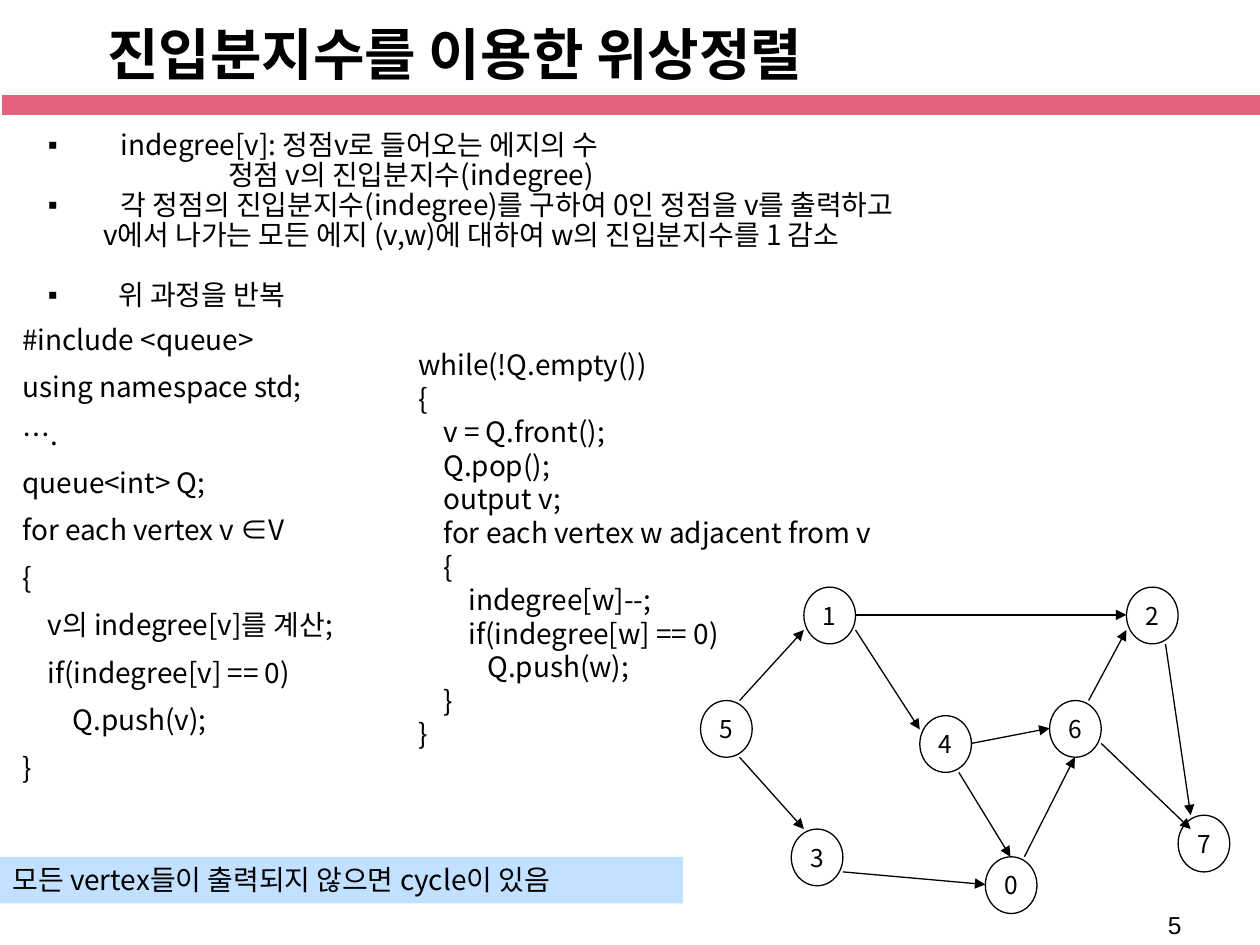
from pptx import Presentation, util as u
from pptx.dml.color import RGBColor
from pptx.enum import shapes, text
from pptx.oxml.ns import qn
from lxml import etree

PX = 9144  # 100 px to the inch
BLACK = RGBColor(0x00, 0x00, 0x00)
WHITE = RGBColor(0xFF, 0xFF, 0xFF)
ROSE = RGBColor(0xE4, 0x62, 0x7B)
SKY = RGBColor(0xC2, 0xE0, 0xFF)
SANS, KOREAN = "Arial", "Noto Sans CJK KR"
LEFT, CENTER, JUSTIFY = (text.PP_ALIGN.LEFT, text.PP_ALIGN.CENTER,
                         text.PP_ALIGN.JUSTIFY)
TOP, MIDDLE = text.MSO_ANCHOR.TOP, text.MSO_ANCHOR.MIDDLE

# Each line is (text, left margin, first-line indent, format, bullet)
BODY = [
    ("indegree[v]: 정점v로 들어오는 에지의 수", 58, -58, {}, "▪"),
    ("정점 v의 진입분지수(indegree)", 143, 0, {}, None),
    ("각 정점의 진입분지수(indegree)를 구하여 0인 정점을 v를 출력하고", 58, -58, {}, "▪"),
    ("v에서 나가는 모든 에지 (v,w)에 대하여 w의 진입분지수를 1 감소", 44, 0, {}, None),
    ("위 과정을 반복", 56, -56, {"space_before": u.Pt(17)}, "▪"),
]
# Code lines with their indent
INIT_CODE = [
    ("#include <queue>", 0), ("using namespace std;", 0), ("….", 0),
    ("queue<int> Q;", 0), ("for each vertex v ∈V", 0), ("{", 0),
    ("v의 indegree[v]를 계산;", 20), ("if(indegree[v] == 0)", 20),
    ("Q.push(v);", 40), ("}", 0),
]
LOOP_CODE = [
    ("while(!Q.empty())", 0), ("{", 0), ("v = Q.front();", 20),
    ("Q.pop();", 20), ("output v;", 20),
    ("for each vertex w adjacent from v", 20), ("{", 20),
    ("indegree[w]--;", 40), ("if(indegree[w] == 0)", 40),
    ("Q.push(w);", 55), ("}", 20), ("}", 0),
]
NODE_W, NODE_H = 41, 45
NODES = {2: (894, 466), 4: (730, 568), 3: (628, 658), 5: (556, 556),
         7: (935, 647), 0: (782, 680), 6: (833, 556), 1: (638, 466)}
# Edges: start node, its anchor, end node, its anchor; anchors in quarters of a node
EDGES = [
    (5, (3, 0), 1, (0, 3)), (5, (3, 4), 3, (1, 0)), (1, (4, 3), 4, (0, 1)),
    (3, (4, 3), 0, (0, 2)), (4, (4, 2), 6, (0, 2)), (6, (3, 0), 2, (0, 3)),
    (1, (4, 2), 2, (0, 2)), (4, (3, 4), 0, (2, 0)), (6, (4, 3), 7, (1, 1)),
    (0, (3, 0), 6, (2, 4)), (2, (3, 4), 7, (1, 0)),
]


def assign(obj, values):
    for name, value in values.items():
        setattr(obj, name, value)


def emu(*lengths):
    return [n * PX for n in lengths]


def anchor(node, quarters):
    x, y = NODES[node]
    return x + round(NODE_W * quarters[0] / 4), y + round(NODE_H * quarters[1] / 4)


class Deck:
    def __init__(self, prs):
        self.s = prs.slides.add_slide(prs.slide_layouts[1])

    def set_lines(self, tf, lines, size=16, font=KOREAN, bold=False, align=LEFT,
                  v_anchor=TOP, wrap=True, **spacing):
        """Fill a text frame with (text, margin, indent, format, bullet) lines."""
        assign(tf, {"word_wrap": wrap, "auto_size": text.MSO_AUTO_SIZE.NONE,
                    "vertical_anchor": v_anchor})
        for i, (words, margin, indent, extra, bullet) in enumerate(lines):
            p = tf.paragraphs[0] if i == 0 else tf.add_paragraph()
            assign(p, {"alignment": align, "space_before": u.Pt(0),
                       **spacing, **extra})
            pPr = p._p.get_or_add_pPr()
            pPr.set("marL", str(margin * PX))
            pPr.set("indent", str(indent * PX))
            if bullet:
                etree.SubElement(pPr, qn("a:buChar")).set("char", bullet)
            else:
                etree.SubElement(pPr, qn("a:buNone"))
            r = p.add_run()
            r.text = words
            assign(r.font, {"size": u.Pt(size), "name": font, "bold": bold})
            r.font.color.rgb = BLACK
            ea = etree.SubElement(r._r.get_or_add_rPr(), qn("a:ea"))
            ea.set("typeface", KOREAN)

    def place(self, sp, box):
        assign(sp, dict(zip(("left", "top", "width", "height"), emu(*box))))
        return sp.text_frame

    def title(self, words, box):
        tf = self.place(self.s.shapes.title, box)
        self.set_lines(tf, [(words, 0, 0, {}, None)], size=32, font=SANS, bold=True,
                       v_anchor=MIDDLE)

    def body(self, lines, box):
        tf = self.place(self.s.placeholders[1], box)
        self.set_lines(tf, lines, line_spacing=0.9)

    def textbox(self, lines, box, first=0, **style):
        """Add a text box of (text, indent) lines, all shifted by first."""
        tf = self.s.shapes.add_textbox(*emu(*box)).text_frame
        self.set_lines(tf, [(t, first + n, 0, {}, None) for t, n in lines], **style)

    def shape(self, kind, box, fill, line=None, weight=0.75):
        sp = self.s.shapes.add_shape(kind, *emu(*box))
        sp.shadow.inherit = False
        sp.fill.solid()
        sp.fill.fore_color.rgb = fill
        if line is None:
            sp.line.fill.background()
        else:
            sp.line.color.rgb = line
            sp.line.width = u.Pt(weight)
        return sp

    def banner(self, words, box):
        sp = self.shape(shapes.MSO_SHAPE.RECTANGLE, box, SKY)
        self.set_lines(sp.text_frame, [(words, 0, 0, {}, None)])

    def node(self, label, x, y):
        sp = self.shape(shapes.MSO_SHAPE.OVAL, (x, y, NODE_W, NODE_H), WHITE, BLACK)
        tf = sp.text_frame
        assign(tf, dict.fromkeys(("margin_left", "margin_right", "margin_top",
                                  "margin_bottom"), 0))
        self.set_lines(tf, [(str(label), 0, 0, {}, None)], size=14, align=CENTER,
                       v_anchor=MIDDLE, wrap=False)

    def arrow(self, start, end):
        c = self.s.shapes.add_connector(shapes.MSO_CONNECTOR.STRAIGHT,
                                        *emu(*start, *end))
        c.line.color.rgb = BLACK
        c.line.width = u.Pt(0.75)
        spPr = c._element.spPr
        etree.SubElement(spPr.find(qn("a:ln")), qn("a:tailEnd")).set("type", "triangle")
        etree.SubElement(spPr, qn("a:effectLst"))


def main():
    prs = Presentation()
    prs.slide_width, prs.slide_height = emu(1000, 750)
    deck = Deck(prs)
    deck.shape(shapes.MSO_SHAPE.RECTANGLE, (1, 75, 1000, 17), ROSE, WHITE, 1)
    deck.textbox([("5", 0)], (917, 717, 57, 33), size=14, font=SANS)
    deck.title("진입분지수를 이용한 위상정렬", (75, 0, 850, 84))
    deck.body(BODY, (28, 99, 850, 152))
    deck.textbox(INIT_CODE, (8, 251, 400, 401), align=JUSTIFY, space_before=u.Pt(8))
    deck.textbox(LOOP_CODE, (300, 271, 425, 360), first=22, align=JUSTIFY)
    deck.banner("모든 vertex들이 출력되지 않으면 cycle이 있음", (0, 680, 542, 37))
    for label, (x, y) in NODES.items():
        deck.node(label, x, y)
    for start, start_at, end, end_at in EDGES:
        deck.arrow(anchor(start, start_at), anchor(end, end_at))
    prs.save("out.pptx")


if __name__ == "__main__":
    main()
